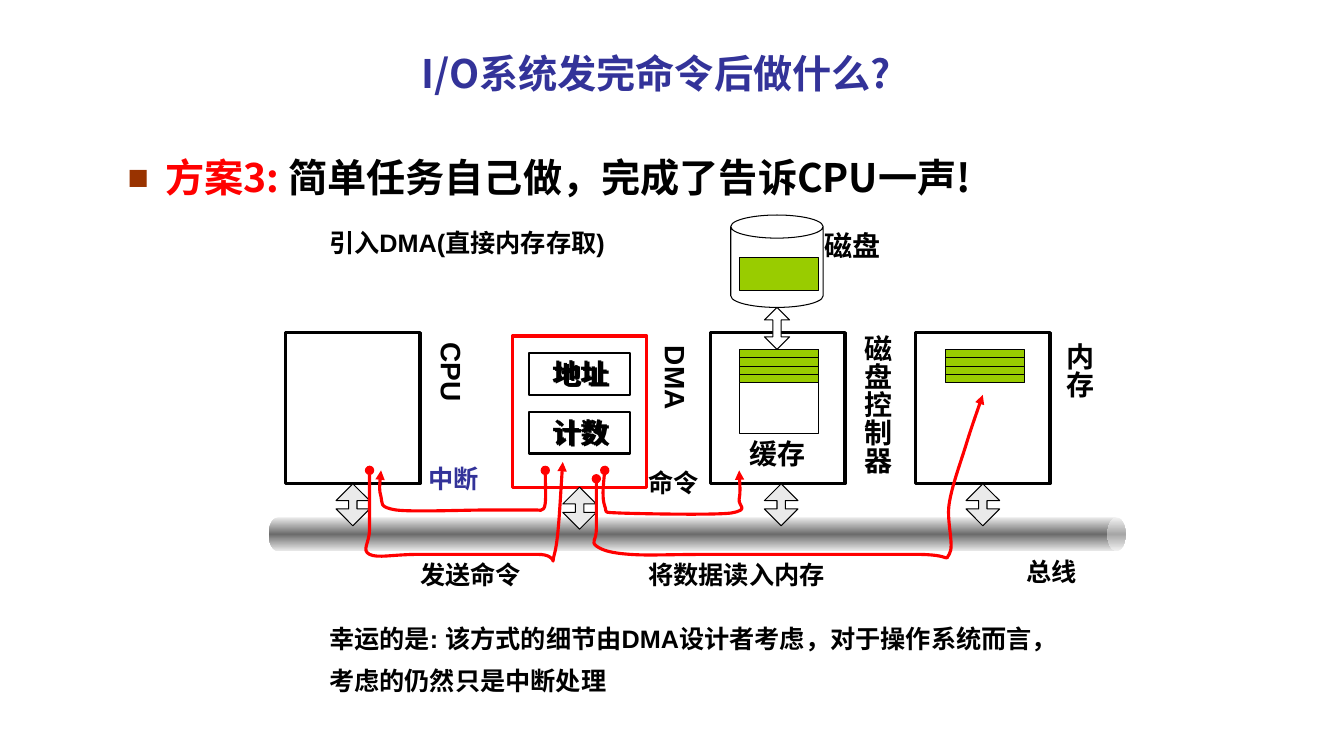
from lxml.etree import SubElement
from copy import deepcopy
from pptx import Presentation
from pptx.dml.color import RGBColor
from pptx.enum.shapes import MSO_SHAPE as Preset
from pptx.enum.text import MSO_ANCHOR as Anchor, MSO_AUTO_SIZE as AutoSize, PP_ALIGN as Align
from pptx.oxml.ns import qn
from pptx.util import Pt

BLACK = RGBColor(0x00, 0x00, 0x00)
WHITE = RGBColor(0xFF, 0xFF, 0xFF)
RED = RGBColor(0xFF, 0x00, 0x00)
BLUE = RGBColor(0x33, 0x33, 0x99)
GREEN = RGBColor(0x99, 0xCC, 0x00)
LIGHT = RGBColor(0xEA, 0xEA, 0xEA)
GRAY = RGBColor(0x6C, 0x6C, 0x6C)
BULLET = "993300"
HEADING_FONT = "Noto Sans CJK SC"
LABEL_FONT = "Arial"


class Diagram:
    def __init__(self, slide):
        self.shapes = slide.shapes
        self.text_format = {"size": Pt(18), "bold": True, "name": LABEL_FONT}

    def text(self, box, *runs, color=BLACK, size=18, font=LABEL_FONT, spacing=None,
             indent=0, align=None, anchor=Anchor.TOP, vertical=False, grow=True, bullet=False):
        shape = self.shapes.add_textbox(*map(Pt, box))
        frame = shape.text_frame
        frame_format = {"word_wrap": True, "vertical_anchor": anchor,
                        "auto_size": AutoSize.SHAPE_TO_FIT_TEXT if grow else AutoSize.NONE}
        for name, value in frame_format.items():
            setattr(frame, name, value)
        if vertical:
            frame._txBody.bodyPr.set("vert", "eaVert")
        paragraph = frame.paragraphs[0]
        if spacing:
            paragraph.line_spacing = spacing
        paragraph.alignment = align
        properties = paragraph._p.get_or_add_pPr()
        if indent:
            properties.set("marL", str(Pt(indent)))
        if bullet:
            properties.set("indent", str(-Pt(indent)))
            bullet_color = SubElement(properties, qn("a:buClr"))
            SubElement(bullet_color, qn("a:srgbClr"), val=BULLET)
            SubElement(properties, qn("a:buSzPct"), val="90000")
            SubElement(properties, qn("a:buFont"), typeface=LABEL_FONT)
            SubElement(properties, qn("a:buChar"), char="■")
        for words, run_color in [(run, color) if isinstance(run, str) else run for run in runs]:
            run = paragraph.add_run()
            run.text = words
            for name, value in {**self.text_format, "size": Pt(size), "name": font}.items():
                setattr(run.font, name, value)
            run.font.color.rgb = run_color
            SubElement(run._r.get_or_add_rPr(), qn("a:ea"), typeface=font)

    def shape(self, preset, box, fill=WHITE, line=BLACK, width=0.75, adjust=()):
        shape = self.shapes.add_shape(preset, *map(Pt, box))
        shape.shadow.inherit = False
        for index, value in enumerate(adjust):
            shape.adjustments[index] = value
        shape.fill.solid()
        shape.fill.fore_color.rgb = fill
        shape.line.color.rgb = line
        shape.line.width = Pt(width)
        return shape

    def bus(self, box):
        shape = self.shape(Preset.CAN, box, adjust=[0.54])
        shape.rotation = 90
        shape.line.fill.background()
        shape.fill.gradient()
        shape.fill.gradient_angle = 0
        stops = shape._element.spPr.find(qn("a:gradFill")).find(qn("a:gsLst"))
        stops.append(deepcopy(stops[0]))
        for stop, color, position in zip(shape.fill.gradient_stops, (LIGHT, GRAY, LIGHT), (0, 0.5, 1)):
            stop.color.rgb = color
            stop.position = position

    def signal(self, points):
        start, *rest = [(Pt(x), Pt(y)) for x, y in points]
        builder = self.shapes.build_freeform(*start)
        builder.add_line_segments(rest, close=False)
        shape = builder.convert_to_shape()
        shape.shadow.inherit = False
        shape.fill.background()
        shape.line.color.rgb = RED
        shape.line.width = Pt(2.25)
        outline = shape.line._get_or_add_ln()
        SubElement(outline, qn("a:headEnd"), type="oval")
        SubElement(outline, qn("a:tailEnd"), type="triangle")
        segments = list(shape._element.iter(qn("a:lnTo")))
        for index in range(0, len(segments), 3):
            curve = SubElement(segments[index].getparent(), qn("a:cubicBezTo"))
            for segment in segments[index:index + 3]:
                curve.append(segment[0])
                segment.getparent().remove(segment)


INTERRUPT = [
    (389.5, 336), (389.5, 345.6), (390, 355), (389.5, 359.3), (388.8, 364.3), (388, 363.6),
    (386.6, 364.3), (386, 365), (388, 364.3), (381.6, 364.3), (375, 364.3), (364.3, 364.3),
    (347.8, 364.3), (331.2, 364.3), (295.2, 365.8), (283, 364.3), (270, 362.2), (273.6, 359.3),
    (272.2, 355), (270.7, 350), (271.4, 342.7), (272.2, 336)]
SEND = [
    (264, 336), (264, 352), (264, 368), (264, 378), (264, 388), (258, 393), (264, 396),
    (270, 399), (280, 396), (300, 396), (320, 396), (368, 396), (384, 396), (400, 396),
    (393, 407), (396, 396), (399, 385), (400, 358), (402, 330)]
COMMAND = [
    (432, 336), (431, 346), (430, 356), (432, 361.5), (434, 366.5), (429, 365.8),
    (444, 366.5), (459, 367), (508, 368), (522, 366.5), (536, 364), (527, 361.5),
    (528, 356.4), (529, 351), (528, 339), (528, 336)]
READ = [
    (426, 342), (426, 356), (426, 370), (426, 378), (426, 386), (422, 387), (426, 390),
    (430, 393), (436, 395), (450, 396), (464, 397), (476, 396), (510, 396), (544, 396),
    (626, 396), (654, 396), (682, 396), (674, 402), (678, 396), (682, 390), (676, 373),
    (678, 360), (680, 347), (686, 331), (690, 318), (694, 305), (698, 294), (702, 282)]


def main():
    presentation = Presentation()
    presentation.slide_width, presentation.slide_height = Pt(960), Pt(540)
    diagram = Diagram(presentation.slides.add_slide(presentation.slide_layouts[6]))

    diagram.text((294, 28, 356, 45), "I/O系统发完命令后做什么?", color=BLUE, size=28,
                 font=HEADING_FONT, spacing=1.1, anchor=Anchor.MIDDLE)
    diagram.text((84, 96, 732, 68), ("方案3: ", RED), "简单任务自己做，完成了告诉CPU一声!",
                 size=28, font=HEADING_FONT, spacing=1.3, indent=27, grow=False, bullet=True)
    diagram.text((192, 150, 576, 37), "引入DMA(直接内存存取)", spacing=1.4, indent=36)
    diagram.text((726, 394, 96, 29), "总线")
    diagram.bus((486, 75.6, 24, 612))

    units = [("CPU", 204, 237.6, 240, 299.5, BLACK), ("DMA", 366, 240, 402, 459.4, RED),
             ("磁盘控制器", 507.6, 237.6, 546, 603.4, BLACK), ("内存", 654, 237.6, 690, 747.4, BLACK)]
    for name, left, top, arrow_left, label_left, line in units:
        diagram.shape(Preset.RECTANGLE, (left, top, 96, 108), line=line, width=2.25)
        diagram.shape(Preset.UP_DOWN_ARROW, (arrow_left, top + 108, 24, 30), fill=LIGHT, adjust=[0.5, 0.25])
        label_top = 232 if name == "磁盘控制器" else top
        diagram.text((label_left, label_top, 39, 126), name, size=20, vertical=True)

    diagram.shape(Preset.CAN, (522, 153.6, 66, 66), adjust=[0.25])
    diagram.text((576, 160, 66, 31), "磁盘", size=20, align=Align.CENTER)
    diagram.text((528, 308, 66, 31), "缓存", size=20)
    diagram.shape(Preset.RECTANGLE, (528, 249.6, 56.4, 60))
    diagram.shape(Preset.UP_DOWN_ARROW, (546, 219.6, 18, 30), adjust=[0.5, 0.33])
    diagram.shape(Preset.RECTANGLE, (528, 183.6, 56.4, 24), fill=GREEN)
    for left in (528, 675.6):
        for row in range(4):
            diagram.shape(Preset.RECTANGLE, (left, 249.6 + 6 * row, 56.4, 6), fill=GREEN)

    for register, top in (("地址", 252), ("计数", 294)):
        diagram.shape(Preset.RECTANGLE, (378, top, 72, 30), width=1.5)
        for left, label_top, width in ((387.4, top - 1, 66), (388.8, top, 120)):
            diagram.text((left, label_top, width, 31), register, size=20)

    for points in (INTERRUPT, SEND, COMMAND, READ):
        diagram.signal(points)
    diagram.text((299, 327.6, 79, 29), "中断", color=BLUE)
    diagram.text((234, 396, 204, 29), "发送命令", align=Align.CENTER)
    diagram.text((456, 330, 72, 29), "命令")
    diagram.text((456, 396, 204, 29), "将数据读入内存")
    diagram.text((192, 433, 576, 68), "幸运的是: 该方式的细节由DMA设计者考虑，对于操作系统而言，考虑的仍然只是中断处理",
                 spacing=1.4, indent=36)
    presentation.save("out.pptx")


if __name__ == "__main__":
    main()
